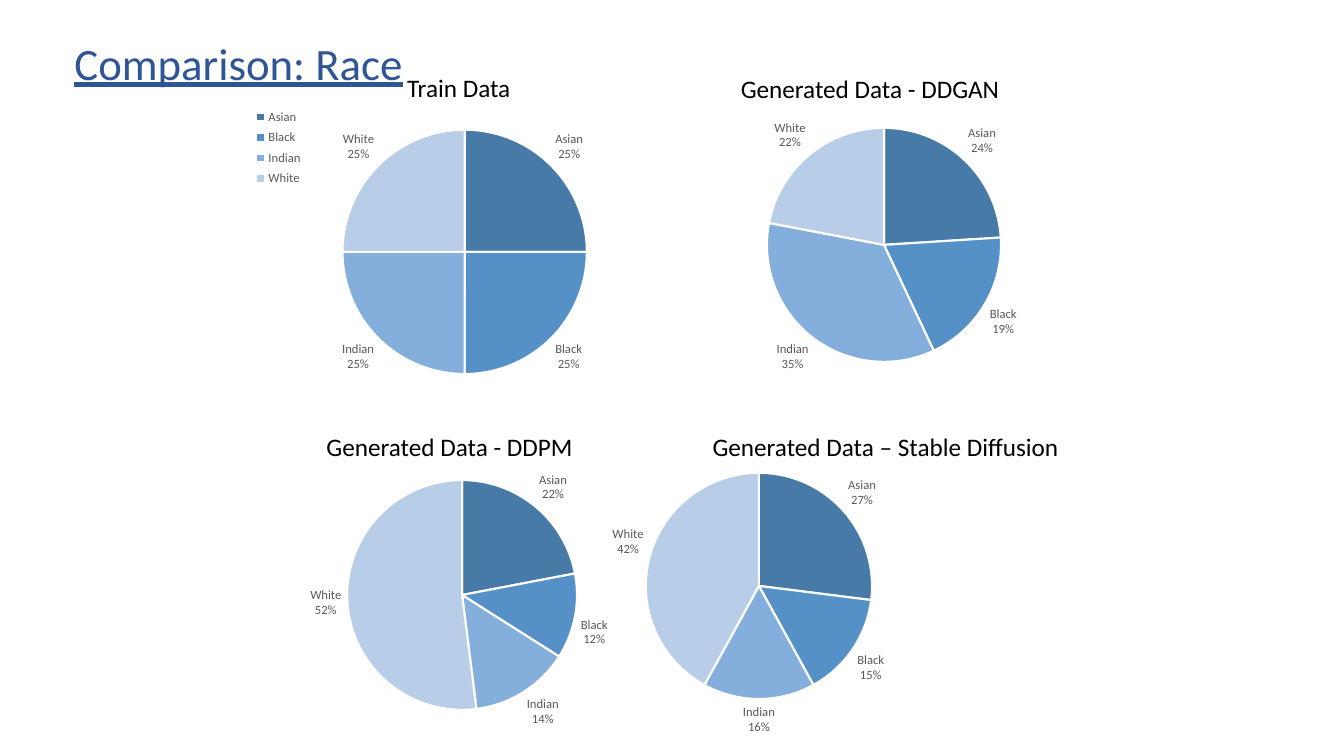
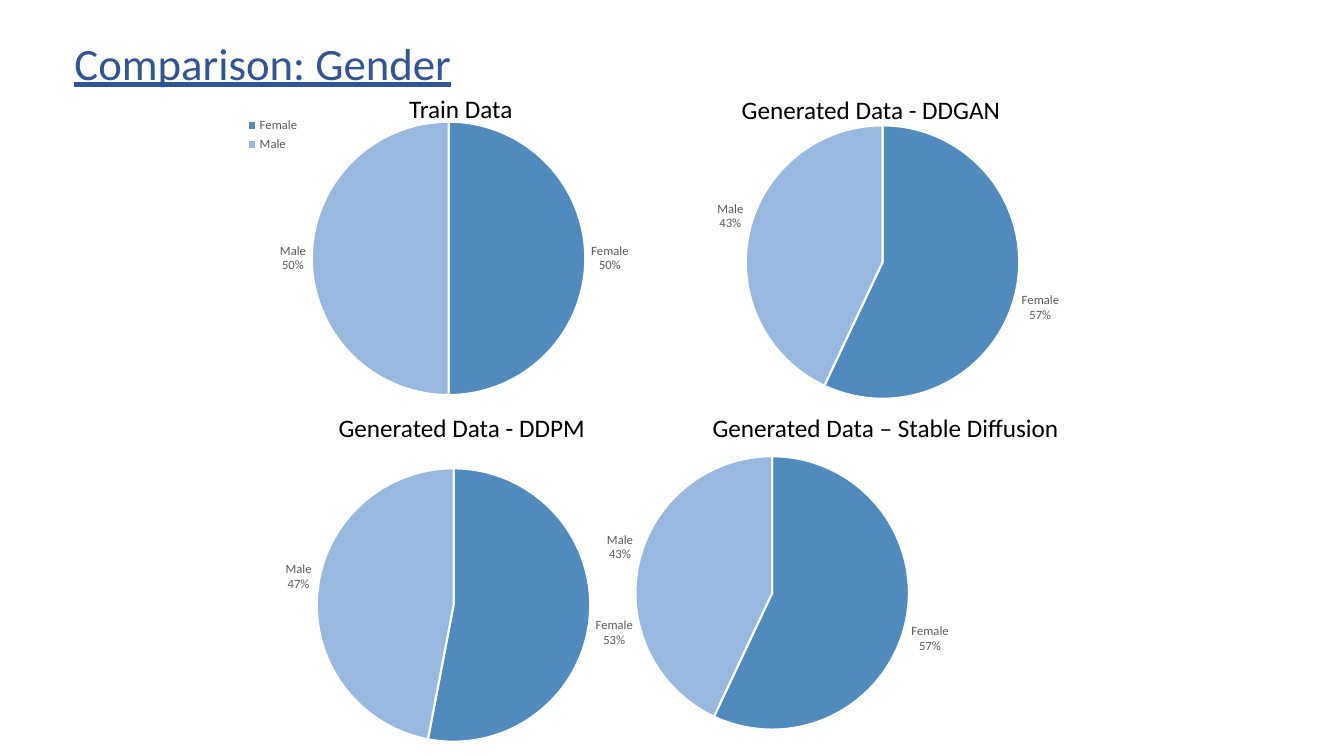
from dataclasses import dataclass
from typing import Optional

from lxml import etree
from pptx import Presentation, util as u
from pptx.chart.data import CategoryChartData
from pptx.dml.color import RGBColor
from pptx.enum import chart as ch, text
from pptx.oxml import ns

# Slide size and a grid of 100 columns by 100 rows
WIDTH, HEIGHT = u.Inches(13.33), u.Inches(7.5)
COL, ROW = WIDTH / 100, HEIGHT / 100

FONT = "Calibri"
TITLE_COLOUR, HEADING_COLOUR, LABEL_COLOUR = "2F5597", "000000", "595959"
WHITE = "FFFFFF"
CHART_COLS, CHART_ROWS = 37.5, 40
HEADING_ROWS = 5.33


@dataclass(frozen=True)
class Box:
    """A place in columns and rows of the slide."""
    left: float
    top: float
    width: float
    height: float

    def emu(self) -> tuple[u.Emu, ...]:
        return tuple(u.Emu(round(n * unit)) for n, unit in
                     ((self.left, COL), (self.top, ROW),
                      (self.width, COL), (self.height, ROW)))


@dataclass(frozen=True)
class Panel:
    """A heading with its pie; centre and diameter are percent of the chart."""
    heading: str
    heading_box: Box
    chart_at: tuple[float, float]
    values: tuple[int, ...]
    centre: tuple[float, float]
    diameter: float
    legend: Optional[Box] = None


@dataclass(frozen=True)
class Comparison:
    title: str
    slices: dict[str, str]
    panels: tuple[Panel, ...]


def heading_at(left: float, top: float, width: float) -> Box:
    return Box(left, top, width, HEADING_ROWS)


TITLE_BOX = Box(4.8, 4, 65.85, 8.53)
TRAIN, DDGAN, DDPM, DIFFUSION = (
    "Train Data", "Generated Data - DDGAN",
    "Generated Data - DDPM", "Generated Data – Stable Diffusion")
TRAIN_COLS, MODEL_COLS, DIFFUSION_COLS = 10.35, 22.35, 29.25

COMPARISONS = (
    Comparison(
        "Comparison: Race",
        {"Asian": "487AA8", "Black": "5591C7",
         "Indian": "84AEDC", "White": "B8CDE8"},
        (
            Panel(TRAIN, heading_at(29.55, 8.93, TRAIN_COLS), (17.93, 13.33),
                  (25, 25, 25, 25), (44.4, 50), 80.8, Box(1, 1, 13, 29)),
            Panel(DDGAN, heading_at(54.38, 9.07, MODEL_COLS), (47.4, 12.4),
                  (24, 19, 35, 22), (49, 50), 77.4),
            Panel(DDPM, heading_at(23.55, 56.4, MODEL_COLS), (15.45, 59.07),
                  (22, 12, 14, 52), (50.5, 49.1), 76),
            Panel(DIFFUSION, heading_at(52.28, 56.4, DIFFUSION_COLS), (37.2, 59.07),
                  (27, 15, 16, 42), (51.4, 46.1), 74.8),
        )),
    Comparison(
        "Comparison: Gender",
        {"Female": "518ABD", "Male": "98B8E0"},
        (
            Panel(TRAIN, heading_at(29.7, 11.73, TRAIN_COLS), (17.48, 14.27),
                  (50, 50), (42.4, 49.8), 90.4, Box(1, 2, 13, 14)),
            Panel(DDGAN, heading_at(54.45, 11.87, MODEL_COLS), (47.33, 14.67),
                  (57, 43), (48.9, 50), 90.4),
            Panel(DDPM, heading_at(24.45, 53.87, MODEL_COLS), (15.45, 60),
                  (53, 47), (48.8, 50.1), 90.4),
            Panel(DIFFUSION, heading_at(52.28, 53.87, DIFFUSION_COLS), (39.08, 58.4),
                  (57, 43), (49, 50.1), 90.4),
        )),
)


def colour(hex_code: str) -> RGBColor:
    return RGBColor.from_string(hex_code)


def style_font(font, size: float, hex_code: str) -> None:
    font.name, font.size = FONT, u.Pt(size)
    font.color.rgb = colour(hex_code)


def add_label(slide, words: str, box: Box, size: float, hex_code: str,
              underline: bool = False) -> None:
    frame = slide.shapes.add_textbox(*box.emu()).text_frame
    frame.word_wrap = True
    frame.auto_size = text.MSO_AUTO_SIZE.SHAPE_TO_FIT_TEXT
    run = frame.paragraphs[0].add_run()
    run.text = words
    style_font(run.font, size, hex_code)
    if underline:
        run.font.underline = True


def set_layout(parent, index: int, place: Box, inner: bool = False) -> None:
    """Fix a chart part at a place given in percent of the chart."""
    for old in parent.findall(ns.qn("c:layout")):
        parent.remove(old)
    layout = etree.Element(ns.qn("c:layout"))
    manual = etree.SubElement(layout, ns.qn("c:manualLayout"))
    settings = [("layoutTarget", "inner")] if inner else []
    settings += [("xMode", "edge"), ("yMode", "edge")]
    settings += [(tag, f"{share / 100:.4f}") for tag, share in
                 zip("xywh", (place.left, place.top, place.width, place.height))]
    for tag, value in settings:
        etree.SubElement(manual, ns.qn(f"c:{tag}")).set("val", value)
    parent.insert(index, layout)


def add_pie(slide, panel: Panel, slices: dict[str, str]) -> None:
    data = CategoryChartData()
    data.categories = list(slices)
    data.add_series("Series 1", panel.values)
    box = Box(*panel.chart_at, CHART_COLS, CHART_ROWS)
    pie = slide.shapes.add_chart(ch.XL_CHART_TYPE.PIE, *box.emu(), data).chart
    pie.has_title = False
    style_font(pie.font, 10, HEADING_COLOUR)
    plot = pie.plots[0]
    plot.vary_by_categories = True
    series = plot.series[0]

    # Slices
    for number, hex_code in enumerate(slices.values()):
        look = series.points[number].format
        look.fill.solid()
        look.fill.fore_color.rgb = colour(hex_code)
        look.line.color.rgb = colour(WHITE)
        look.line.width = u.Pt(1.5)

    # Category and percentage on two lines
    labels = series.data_labels
    labels.show_value = False
    labels.show_category_name = labels.show_percentage = True
    labels.number_format, labels.number_format_is_linked = "0%", False
    labels.position = ch.XL_LABEL_POSITION.OUTSIDE_END
    style_font(labels.font, 9, LABEL_COLOUR)
    separator = etree.Element(ns.qn("c:separator"))
    separator.text = "\n"
    flags = labels._element
    last_flag = flags.find(ns.qn("c:showBubbleSize"))
    if last_flag is None:
        last_flag = flags.find(ns.qn("c:showPercent"))
    last_flag.addnext(separator)

    # Pie position
    across = panel.diameter * (CHART_ROWS * ROW) / (CHART_COLS * COL)
    x, y = panel.centre
    set_layout(pie._chartSpace.find(".//" + ns.qn("c:plotArea")), 0,
               Box(x - across / 2, y - panel.diameter / 2, across, panel.diameter),
               inner=True)

    # Legend
    pie.has_legend = panel.legend is not None
    if panel.legend:
        pie.legend.position = ch.XL_LEGEND_POSITION.RIGHT
        pie.legend.include_in_layout = False
        style_font(pie.legend.font, 9, LABEL_COLOUR)
        set_layout(pie.legend._element, 1, panel.legend)


def add_comparison(deck, comparison: Comparison) -> None:
    slide = deck.slides.add_slide(deck.slide_layouts[6])
    add_label(slide, comparison.title, TITLE_BOX, 32, TITLE_COLOUR, underline=True)
    for panel in comparison.panels:
        add_label(slide, panel.heading, panel.heading_box, 18, HEADING_COLOUR)
    for panel in comparison.panels:
        add_pie(slide, panel, comparison.slices)


def main() -> None:
    deck = Presentation()
    deck.slide_width, deck.slide_height = WIDTH, HEIGHT
    for comparison in COMPARISONS:
        add_comparison(deck, comparison)
    deck.save("out.pptx")


if __name__ == "__main__":
    main()
